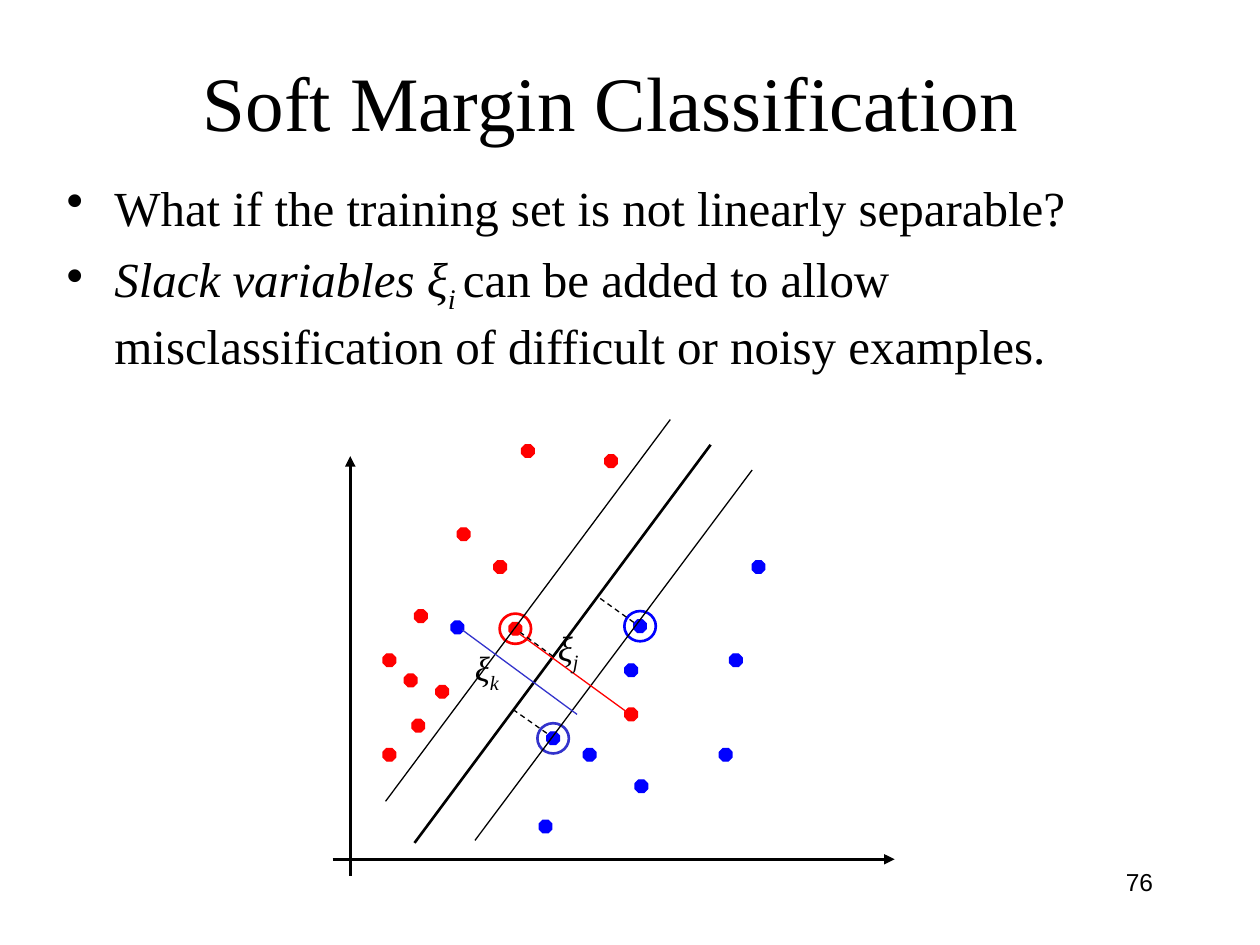
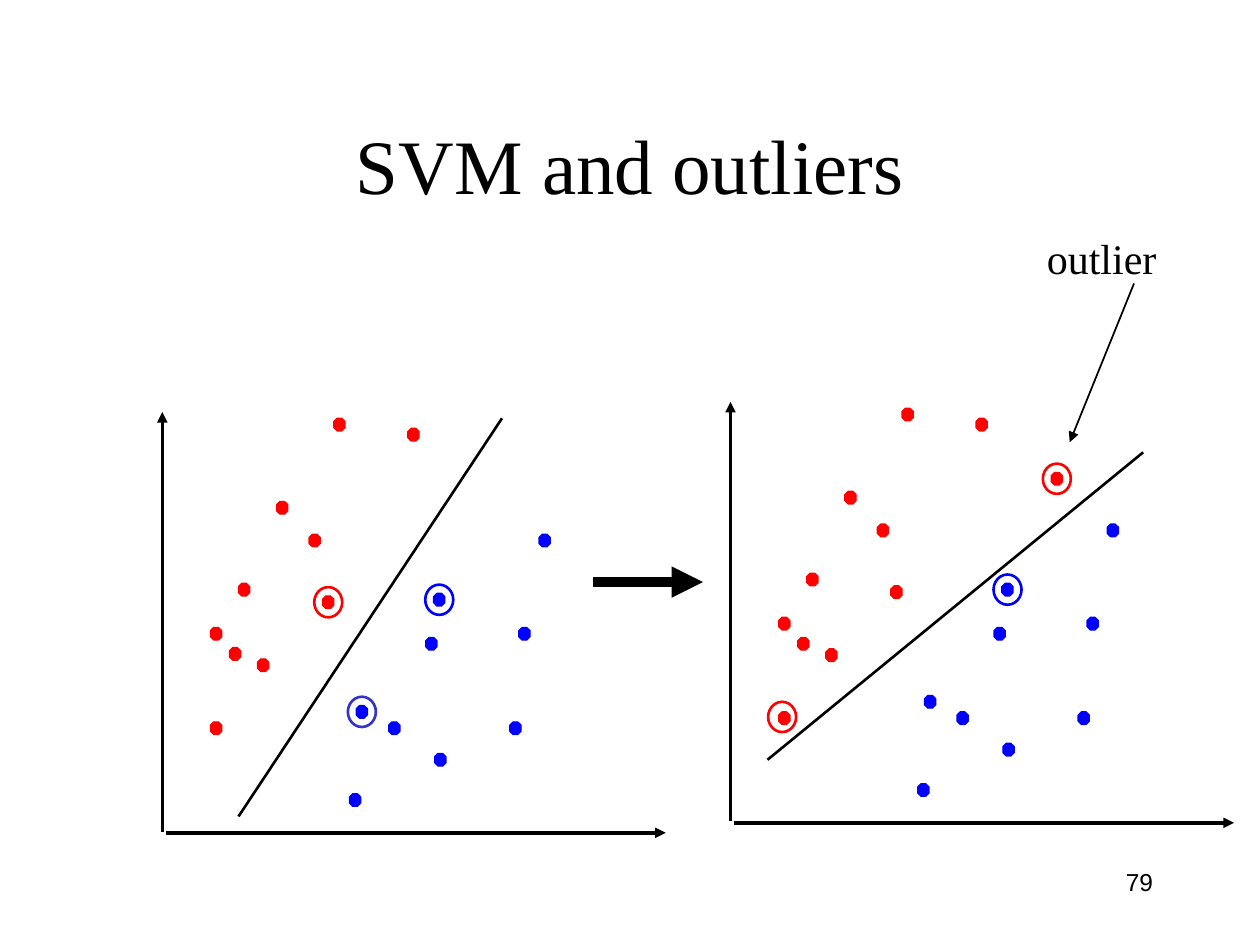
from dataclasses import dataclass

from lxml.etree import SubElement
from pptx import Presentation
from pptx.dml.color import RGBColor
from pptx.enum.dml import MSO_LINE
from pptx.enum.shapes import MSO_CONNECTOR, MSO_SHAPE
from pptx.enum.text import MSO_ANCHOR, PP_ALIGN
from pptx.oxml.ns import qn
from pptx.util import Inches, Pt


@dataclass(frozen=True)
class Theme:
    black: RGBColor = RGBColor(0, 0, 0)
    red: RGBColor = RGBColor(255, 0, 0)
    blue: RGBColor = RGBColor(0, 0, 255)
    indigo: RGBColor = RGBColor(0x33, 0x33, 0xCC)
    serif: str = "Times New Roman"
    sans: str = "Arial"
    title_size: int = 44
    body_size: int = 28
    callout_size: int = 24
    symbol_size: int = 20
    number_size: int = 14
    hairline: float = 0.75
    arrow: float = 1
    medium: float = 1.5
    axis: float = 2
    block: float = 6


THEME = Theme()

# The slide is a grid of 100 columns by 75 rows
COLUMNS, ROWS = 100, 75
CELL = Inches(10) // COLUMNS


def cells(count):
    return round(count * CELL)


@dataclass(frozen=True)
class Plot:
    """Grid of a scatter plot: where its first point lies and its column width."""
    left: float
    top: float
    stretch: float = 1

    def at(self, point):
        column, row = point
        return self.left + column * self.stretch, self.top + row


# Points shared by every plot, in columns and rows of its grid
RED_POINTS = [(5.9, 6.6), (8.8, 9.2), (2.5, 13.1), (4.2, 19.1), (0, 24.1),
              (0, 16.6), (1.7, 18.2), (11, 0), (17.6, 0.8)]
BLUE_POINTS = [(15.9, 24.1), (26.7, 24.1), (12.4, 29.8), (19.2, 17.4),
               (20, 26.6), (27.5, 16.6), (29.3, 9.2)]
RED_SUPPORT, BLUE_SUPPORT, LOW_SUPPORT = (10, 14.1), (19.9, 13.9), (13, 22.8)
OUTLIER = (24.3, 5.1)
SEPARATOR = ((2, 31.1), (25.5, -0.5))
OUTLIER_SEPARATOR = ((-1.5, 27.4), (32, 3))
X_AXIS = ((-4.5, 32.4), (40.1, 32.4))
AXIS_HEIGHT = 33.3

# Constructions around the soft margin
MARGINS = [((6.8, 30.9), (28.8, 1.5)), ((-0.3, 27.8), (22.3, -2.5))]
DISTANCES = [((19.4, 13.6), (16.6, 11.6)), ((12.5, 22.4), (9.8, 20.5)),
             ((13, 16.3), (10.4, 14.4))]
SLACKS = [((18.7, 20.6), (9.9, 14.2), THEME.red),
          ((5.8, 14.2), (14.9, 20.9), THEME.indigo)]
SLACK_LABELS = [((12.4, 13.4), "j"), ((5.8, 15), "k")]


# Text
def add_text(page, box, anchor=MSO_ANCHOR.TOP, wrap=True):
    frame = page.shapes.add_textbox(*map(cells, box)).text_frame
    frame.word_wrap = wrap
    frame.vertical_anchor = anchor
    return frame


def fill_paragraph(para, spans, size, font=THEME.serif, align=PP_ALIGN.LEFT):
    """Each span is (text, style); the style holds "i" for italic, "s" for subscript."""
    para.alignment = align
    for text, style in spans:
        span = para.add_run()
        span.text = text
        span.font.name = font
        span.font.size = Pt(size)
        span.font.color.rgb = THEME.black
        span.font.italic = "i" in style
        if "s" in style:
            span._r.get_or_add_rPr().set("baseline", "-25000")


def add_title(page, text, top, right_inset=1):
    frame = add_text(page, (7.5, top, 85, 12.5), MSO_ANCHOR.MIDDLE)
    frame.margin_right = cells(right_inset)
    fill_paragraph(frame.paragraphs[0], [(text, "")], THEME.title_size,
                   align=PP_ALIGN.CENTER)


def add_page_number(page, number):
    frame = add_text(page, (71.7, 68.3, 20.8, 5))
    fill_paragraph(frame.paragraphs[0], [(str(number), "")], THEME.number_size,
                   THEME.sans, PP_ALIGN.RIGHT)


def add_bullets(page, box, items):
    frame = add_text(page, box)
    frame.margin_top = cells(1)
    for index, spans in enumerate(items):
        para = frame.add_paragraph() if index else frame.paragraphs[0]
        properties = para._p.get_or_add_pPr()
        properties.set("marL", str(cells(3.8)))
        properties.set("indent", str(-cells(3.8)))
        SubElement(properties, qn("a:buChar")).set("char", "•")
        para.space_before = Pt(7 if index else 0)
        fill_paragraph(para, spans, THEME.body_size)


# Lines and points
def add_line(page, start, end, width, color=THEME.black, dashed=False, arrow=False):
    line = page.shapes.add_connector(MSO_CONNECTOR.STRAIGHT,
                                     *map(cells, (*start, *end)))
    line.line.color.rgb = color
    line.line.width = Pt(width)
    if dashed:
        line.line.dash_style = MSO_LINE.DASH
    if arrow:
        SubElement(line.line._get_or_add_ln(), qn("a:tailEnd")).set("type", "triangle")
    SubElement(line._element.spPr, qn("a:effectLst"))


def add_plot_line(page, plot, start, end, width, **style):
    add_line(page, plot.at(start), plot.at(end), width, **style)


def add_marker(page, plot, point, kind, width, height, color, line_width):
    x, y = plot.at(point)
    width *= plot.stretch
    marker = page.shapes.add_shape(
        kind, *map(cells, (x - width / 2, y - height / 2, width, height)))
    marker.shadow.inherit = False
    marker.line.color.rgb = color
    marker.line.width = Pt(line_width)
    return marker


def add_dots(page, plot, points, color):
    for point in points:
        dot = add_marker(page, plot, point, MSO_SHAPE.OCTAGON, 1, 1, color,
                         THEME.hairline)
        dot.fill.solid()
        dot.fill.fore_color.rgb = color


def add_rings(page, plot, rings):
    for point, color in rings:
        ring = add_marker(page, plot, point, MSO_SHAPE.OVAL, 2.5, 2.4, color,
                          THEME.medium)
        ring.fill.background()


def add_scatter(page, plot, axis_foot, separator, rings, more_red=(), more_blue=()):
    column, row = axis_foot
    for start, end in [(axis_foot, (column, row - AXIS_HEIGHT)), X_AXIS]:
        add_plot_line(page, plot, start, end, THEME.axis, arrow=True)
    add_dots(page, plot, [*RED_POINTS, RED_SUPPORT, *more_red], THEME.red)
    add_dots(page, plot, [*BLUE_POINTS, BLUE_SUPPORT, LOW_SUPPORT, *more_blue],
             THEME.blue)
    add_plot_line(page, plot, *separator, THEME.medium)
    add_rings(page, plot, rings)


SUPPORT_RINGS = [(RED_SUPPORT, THEME.red), (LOW_SUPPORT, THEME.indigo),
                 (BLUE_SUPPORT, THEME.blue)]


# Slides
def add_margin_constructions(page, plot):
    for start, end in DISTANCES:
        add_plot_line(page, plot, start, end, THEME.hairline, dashed=True)
    for start, end in MARGINS:
        add_plot_line(page, plot, start, end, THEME.hairline)
    for start, end, color in SLACKS:
        add_plot_line(page, plot, start, end, THEME.hairline, color=color)
    for corner, index in SLACK_LABELS:
        frame = add_text(page, (*plot.at(corner), 7.7, 4.8))
        fill_paragraph(frame.paragraphs[0], [("ξ", "i"), (index, "is")],
                       THEME.symbol_size)


def build_soft_margin(page):
    add_page_number(page, 76)
    add_title(page, "Soft Margin Classification", 1.7, right_inset=4)
    add_bullets(page, (4.3, 13.1, 90, 20.5), [
        [("What if the training set is not linearly separable?", "")],
        [("Slack variables ξ", "i"), ("i ", "is"),
         ("can be added to allow misclassification of difficult or noisy examples.",
          "")],
    ])
    plot = Plot(30.9, 35.8)
    add_scatter(page, plot, (-3.1, 33.7), SEPARATOR, SUPPORT_RINGS,
                more_red=[(2.3, 21.8), (19.2, 20.9)], more_blue=[(5.4, 14)])
    add_margin_constructions(page, plot)


def build_outliers(page):
    add_page_number(page, 79)
    add_title(page, "SVM and outliers", 6.7)
    axis_foot, stretch = (-4.8, 32.3), 0.89
    before = Plot(17.15, 33.7, stretch)
    after = Plot(before.left + 45.1, before.top - 0.8, stretch)
    add_scatter(page, before, axis_foot, SEPARATOR, SUPPORT_RINGS)
    add_scatter(page, after, axis_foot, OUTLIER_SEPARATOR,
                [(OUTLIER, THEME.red), ((-0.2, 24), THEME.red),
                 (BLUE_SUPPORT, THEME.blue)], more_red=[OUTLIER])
    # Step from one plot to the next, and the callout
    add_line(page, (47.1, 46.2), (55.8, 46.2), THEME.block, arrow=True)
    add_line(page, (90, 22.5), (84.9, 35.1), THEME.arrow, arrow=True)
    frame = add_text(page, (82.1, 18, 10.7, 5), wrap=False)
    fill_paragraph(frame.paragraphs[0], [("outlier", "")], THEME.callout_size)


def main():
    deck = Presentation()
    deck.slide_width, deck.slide_height = cells(COLUMNS), cells(ROWS)
    for build in (build_soft_margin, build_outliers):
        build(deck.slides.add_slide(deck.slide_layouts[6]))
    deck.save("out.pptx")


if __name__ == "__main__":
    main()
